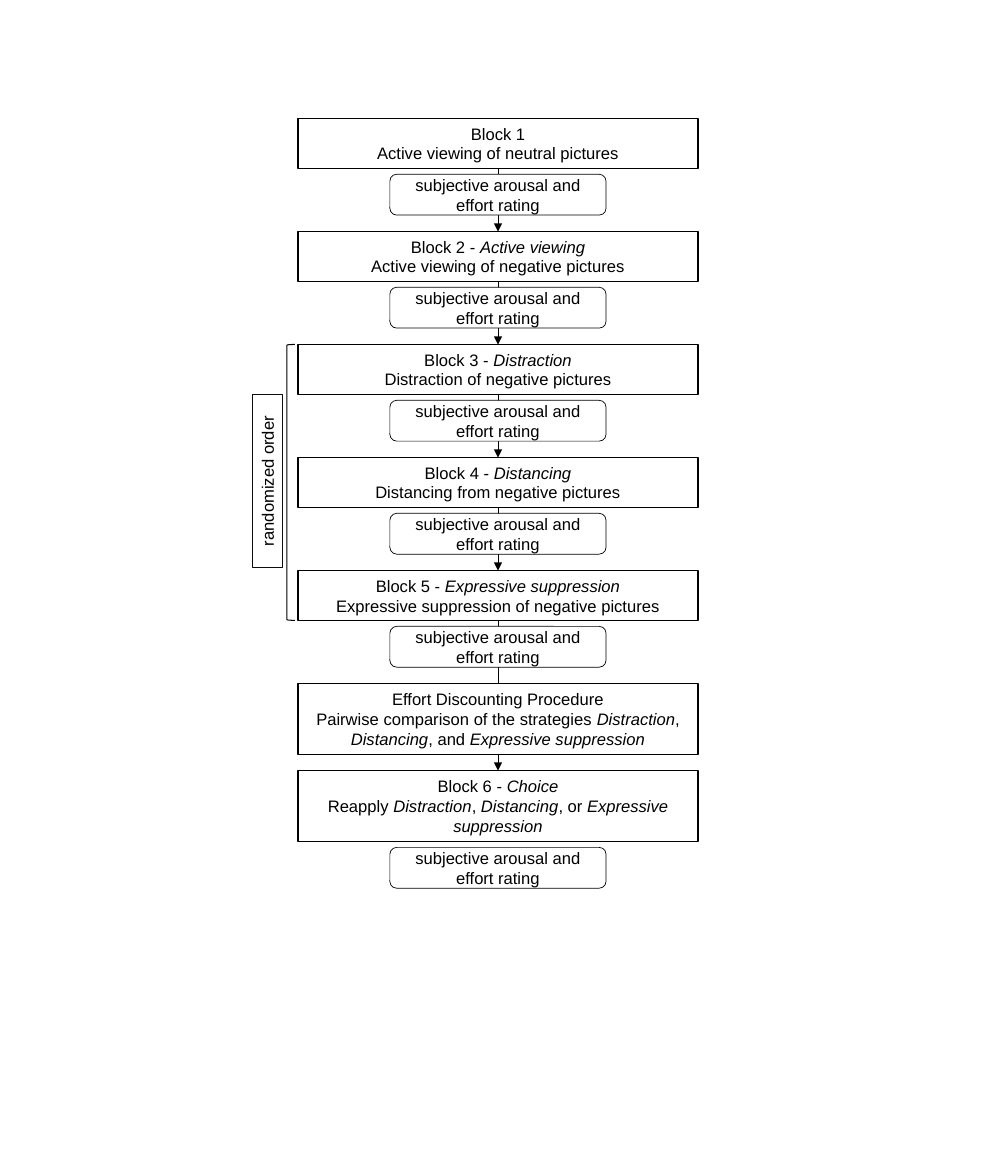
from lxml.etree import SubElement
from pptx import Presentation
from pptx.dml.color import RGBColor
from pptx.enum.shapes import MSO_CONNECTOR, MSO_SHAPE
from pptx.enum.text import MSO_ANCHOR, PP_ALIGN
from pptx.oxml.ns import qn
from pptx.util import Inches, Pt

BLACK, WHITE = "000000", "FFFFFF"
CENTER = 5
BLOCK_WIDTH, BLOCK_HEIGHT, TALL_HEIGHT = 4.02, 0.5, 0.71
RATING_WIDTH, RATING_HEIGHT, RATING_GAP = 2.17, 0.41, 0.06
FIRST_TOP, STEP = 1.19, 1.135
CHOICE_TOP = 7.74
RATING = "subjective arousal and effort rating"

# Asterisks enclose italic words.
BLOCKS = [
    ("Block 1", "Active viewing of neutral pictures"),
    ("Block 2 - *Active viewing*", "Active viewing of negative pictures"),
    ("Block 3 - *Distraction*", "Distraction of negative pictures"),
    ("Block 4 - *Distancing*", "Distancing from negative pictures"),
    ("Block 5 - *Expressive suppression*", "Expressive suppression of negative pictures"),
]
DISCOUNTING = (
    "Effort Discounting Procedure",
    "Pairwise comparison of the strategies *Distraction*, *Distancing*, and *Expressive suppression*",
)
CHOICE = (
    "Block 6 - *Choice*",
    "Reapply *Distraction*, *Distancing*, or *Expressive suppression*",
)


def color(hex_value):
    return RGBColor.from_string(hex_value)


def add_outline(slide, kind, left, top, width, height, line=BLACK, weight=1, fill=None):
    shape = slide.shapes.add_shape(
        kind, Inches(left), Inches(top), Inches(width), Inches(height))
    shape.shadow.inherit = False
    shape.line.color.rgb = color(line)
    shape.line.width = Pt(weight)
    if fill:
        shape.fill.solid()
        shape.fill.fore_color.rgb = color(fill)
    else:
        shape.fill.background()
    return shape


def write_text(shape, lines, size=12, font="Arial", anchor=MSO_ANCHOR.MIDDLE, margin=0.05):
    """Write one centred paragraph per line; text between asterisks is italic."""
    frame = shape.text_frame
    frame.word_wrap = True
    frame.vertical_anchor = anchor
    frame.margin_top = frame.margin_bottom = Inches(margin)
    for number, line in enumerate(lines):
        paragraph = frame.add_paragraph() if number else frame.paragraphs[0]
        paragraph.alignment = PP_ALIGN.CENTER
        for index, part in enumerate(line.split("*")):
            if not part:
                continue
            run = paragraph.add_run()
            run.text = part
            run.font.name = font
            run.font.size = Pt(size)
            run.font.italic = index % 2 == 1
            run.font.color.rgb = color(BLACK)


def add_block(slide, top, lines, height=BLOCK_HEIGHT, fill=None):
    block = add_outline(slide, MSO_SHAPE.RECTANGLE, CENTER - BLOCK_WIDTH / 2, top,
                        BLOCK_WIDTH, height, fill=fill)
    write_text(block, lines)


def add_rating(slide, block_bottom):
    rating = add_outline(slide, MSO_SHAPE.ROUNDED_RECTANGLE, CENTER - RATING_WIDTH / 2,
                         block_bottom + RATING_GAP, RATING_WIDTH, RATING_HEIGHT,
                         weight=0.5, fill=WHITE)
    write_text(rating, [RATING], margin=0)


def add_down_arrow(slide, top, bottom):
    arrow = slide.shapes.add_connector(
        MSO_CONNECTOR.STRAIGHT, Inches(CENTER), Inches(top), Inches(CENTER), Inches(bottom))
    arrow.line.color.rgb = color(BLACK)
    arrow.line.width = Pt(0.5)
    SubElement(arrow.line._get_or_add_ln(), qn("a:tailEnd"), type="triangle")
    SubElement(arrow._element.spPr, qn("a:effectLst"))


def add_order_label(slide, top, bottom):
    """Bracket the randomized blocks and label them sideways."""
    add_outline(slide, MSO_SHAPE.LEFT_BRACKET, 2.88, top, 0.08, bottom - top, weight=0.75)
    label = add_outline(slide, MSO_SHAPE.RECTANGLE, 1.82, 4.68, 1.73, 0.3,
                        line="0D0D0D", weight=0.75, fill=WHITE)
    label.rotation = 270
    write_text(label, ["randomized order"], anchor=MSO_ANCHOR.TOP)


def main():
    presentation = Presentation()
    presentation.slide_width = Inches(10)
    presentation.slide_height = Inches(11.81)
    slide = presentation.slides.add_slide(presentation.slide_layouts[6])

    tops = [FIRST_TOP + STEP * number for number in range(len(BLOCKS))]
    bottoms = [top + BLOCK_HEIGHT for top in tops]
    for bottom, next_top in zip(bottoms, tops[1:] + [CHOICE_TOP]):
        add_down_arrow(slide, bottom, next_top)
    for top, lines in zip(tops, BLOCKS):
        add_block(slide, top, lines)
    add_block(slide, FIRST_TOP + STEP * len(BLOCKS), DISCOUNTING, TALL_HEIGHT, fill=WHITE)
    add_block(slide, CHOICE_TOP, CHOICE, TALL_HEIGHT)
    for bottom in bottoms + [CHOICE_TOP + TALL_HEIGHT]:
        add_rating(slide, bottom)
    add_order_label(slide, tops[2], bottoms[4])

    presentation.save("out.pptx")


if __name__ == "__main__":
    main()
